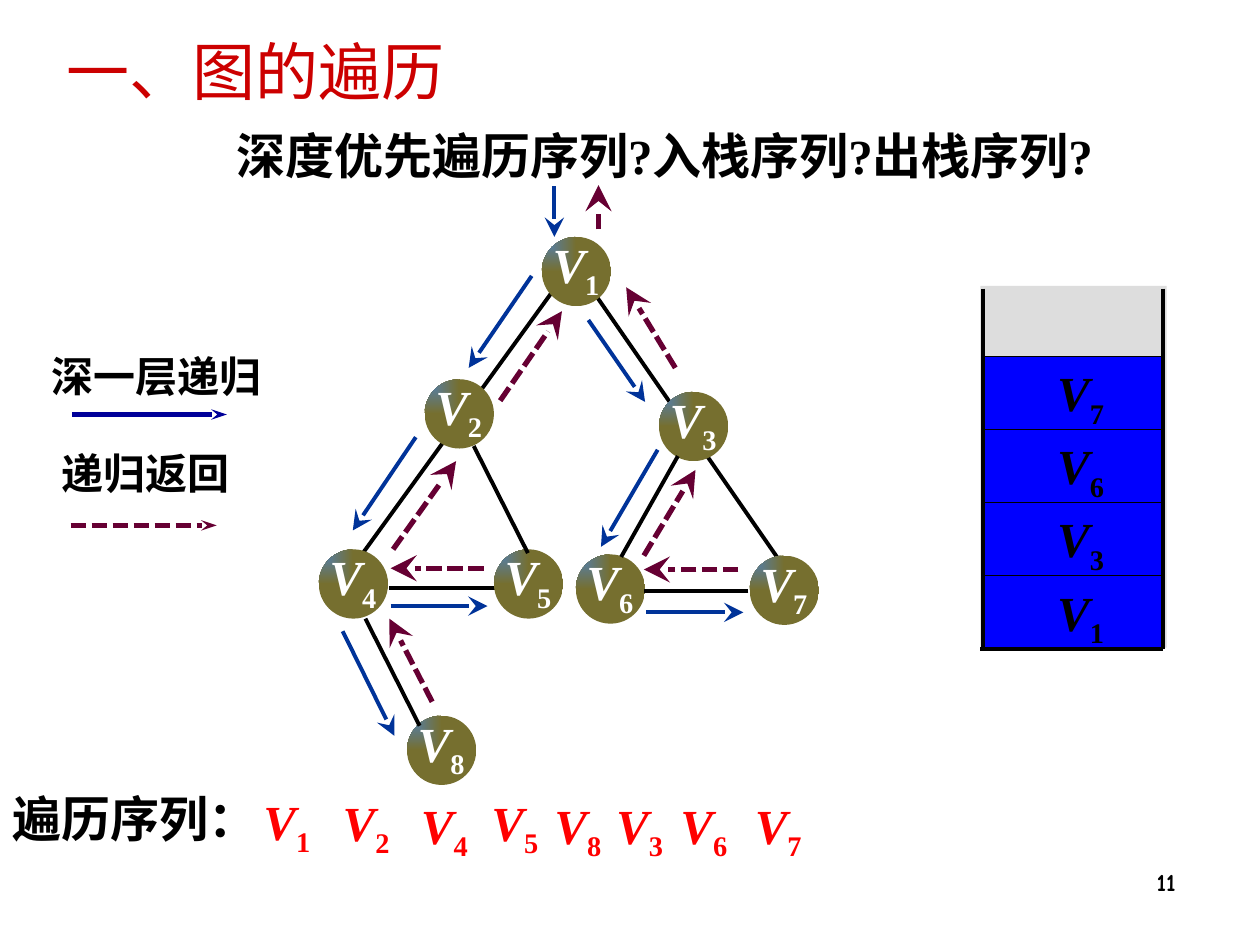
from lxml import etree
from pptx import Presentation
from pptx import util as u
from pptx.dml.color import RGBColor
from pptx.enum import dml, shapes, text
from pptx.oxml import ns

COLS, ROWS = 100, 75
CELL = u.Inches(0.1)

BLACK = RGBColor(0x00, 0x00, 0x00)
WHITE = RGBColor(0xFF, 0xFF, 0xFF)
RED = RGBColor(0xFF, 0x00, 0x00)
TITLE_RED = RGBColor(0xCC, 0x00, 0x00)
CALL_BLUE = RGBColor(0x00, 0x33, 0x99)
LEGEND_BLUE = RGBColor(0x00, 0x00, 0x99)
RETURN_PURPLE = RGBColor(0x66, 0x00, 0x33)
STACK_BLUE = RGBColor(0x00, 0x00, 0xFF)
STACK_GREY = RGBColor(0xDD, 0xDD, 0xDD)
NODE_BLUE = RGBColor(0x4F, 0x81, 0xBD)
NODE_OLIVE = RGBColor(0x76, 0x6F, 0x2F)

SERIF = "Times New Roman"
LABEL_INSETS = (0.2, 0.1, 0.2, 0.1)
JUSTIFY = text.PP_ALIGN.JUSTIFY

NODE_SIZE = 5.5
NODES = {1: (43, 18.8), 3: (52.3, 31.1), 2: (33.7, 30.1), 4: (25.3, 43.6),
         5: (39.2, 43.6), 6: (45.7, 44), 7: (59.5, 44.1), 8: (32.3, 56.8)}

EDGES_BEHIND = [(39.3, 46.7, 30.9, 46.7), (47.4, 23.6, 61.8, 44.4),
                (43.8, 23.2, 28.8, 43.9)]
EDGES_IN_FRONT = [(37.6, 35.4, 41.9, 43.9), (53.8, 36.2, 49.3, 44.2),
                  (59.4, 46.9, 51.1, 46.9), (29, 49.1, 33.3, 57.6)]
CALLS = [(44, 14.8, 44, 18.8), (42.2, 21.9, 37.2, 29.2),
         (33, 34.7, 28, 42.1), (31, 48.1, 38.7, 48.1),
         (27.2, 50.1, 31.3, 58.4), (46.7, 25.4, 51.2, 31.9),
         (52.2, 35.7, 47.7, 43.4), (51.3, 48.6, 59, 48.6)]
RETURNS = [(38.4, 45.1, 31, 45.1), (34.3, 55.7, 30.9, 49.1),
           (31.2, 43.6, 36.2, 36.6), (39.7, 31.8, 44.6, 24.7),
           (58.6, 45.2, 51.1, 45.2), (51.1, 44.1, 55.2, 37.3),
           (53.6, 29.2, 49.7, 22.8), (47.5, 18.2, 47.5, 14.7)]

SEQUENCE = [(1, 20.7, 62.7), (2, 27, 62.8), (4, 33.2, 63), (5, 38.8, 62.8),
            (8, 43.8, 63), (3, 48.7, 63), (6, 53.8, 63), (7, 59.7, 63)]

STACK_LEFT, STACK_RIGHT, STACK_BOTTOM = 78, 92.3, 51.5
STACK_ROW = 5.8
STACK = (1, 3, 6, 7)


def cells(*counts):
    return [int(n * CELL) for n in counts]


def set_insets(tf, insets):
    (tf.margin_left, tf.margin_top,
     tf.margin_right, tf.margin_bottom) = cells(*insets)


def style(p, size, color, font=SERIF, bold=True, align=None):
    p.alignment = align
    p.font.size = u.Pt(size)
    p.font.name = font
    p.font.bold = bold
    p.font.color.rgb = color


def text_frame(s, box, insets=None, wrap=True):
    tf = s.shapes.add_textbox(*cells(*box)).text_frame
    tf.word_wrap = wrap
    if insets:
        set_insets(tf, insets)
    return tf


def add_text(s, box, words, size, color, insets=None, wrap=True, **look):
    p = text_frame(s, box, insets, wrap).paragraphs[0]
    p.add_run().text = words
    style(p, size, color, **look)


def write_vertex(tf, number, color, align=None):
    """Italic V with an upright subscript number."""
    p = tf.paragraphs[0]
    style(p, 28, color, align=align)
    r = p.add_run()
    r.text = "V"
    r.font.italic = True
    r = p.add_run()
    r.text = str(number)
    r.font.italic = False
    r.font._element.set("baseline", "-25000")


def add_line(s, ends, color=BLACK, width=2.25, head=None, dotted=False):
    """Straight line; head is the (width, length) of a stealth arrowhead."""
    c = s.shapes.add_connector(shapes.MSO_CONNECTOR.STRAIGHT, *cells(*ends))
    c.line.color.rgb = color
    c.line.width = u.Pt(width)
    if dotted:
        c.line.dash_style = dml.MSO_LINE.SQUARE_DOT
    if head:
        etree.SubElement(c.line._get_or_add_ln(), ns.qn("a:tailEnd"),
                         type="stealth", w=head[0], len=head[1])
    etree.SubElement(c._element.spPr, ns.qn("a:effectLst"))


def add_shape(s, kind, box):
    sp = s.shapes.add_shape(kind, *cells(*box))
    sp.shadow.inherit = False
    sp.line.fill.background()
    return sp


def add_node(s, number, left, top):
    sp = add_shape(s, shapes.MSO_SHAPE.OVAL, (left, top, NODE_SIZE, NODE_SIZE))
    sp.fill.gradient()
    for stop, color in zip(sp.fill.gradient_stops, (NODE_BLUE, NODE_OLIVE)):
        stop.color.rgb = color
    lin = sp._element.spPr.find(".//" + ns.qn("a:lin"))
    path = etree.Element(ns.qn("a:path"), {"path": "rect"})
    etree.SubElement(path, ns.qn("a:fillToRect"), r="100000", b="100000")
    lin.getparent().replace(lin, path)
    tf = text_frame(s, (left + 0.75, top - 0.5, 5.1, 6.5), (0.1, 0.3, 0, 0.1))
    write_vertex(tf, number, WHITE, JUSTIFY)


def add_stack(s):
    rect = shapes.MSO_SHAPE.RECTANGLE
    sp = add_shape(s, rect, (77.8, 22.7, 14.8, 28.7))
    sp.fill.solid()
    sp.fill.fore_color.rgb = STACK_GREY
    for level, number in enumerate(STACK, 1):
        top = STACK_BOTTOM - level * STACK_ROW
        sp = add_shape(s, rect, (STACK_LEFT, top,
                                 STACK_RIGHT - STACK_LEFT, STACK_ROW))
        sp.fill.solid()
        sp.fill.fore_color.rgb = STACK_BLUE
        sp.line.color.rgb = BLACK
        sp.line.width = u.Pt(0.75)
        tf = sp.text_frame
        tf.vertical_anchor = text.MSO_ANCHOR.TOP
        set_insets(tf, (5.9, 0.5, 1, 0.5))
        write_vertex(tf, number, BLACK, text.PP_ALIGN.LEFT)
    for x in (STACK_LEFT, STACK_RIGHT):
        add_line(s, (x, 22.9, x, STACK_BOTTOM))
    add_line(s, (77.8, STACK_BOTTOM, STACK_RIGHT, STACK_BOTTOM))


def add_graph(s):
    for ends in EDGES_BEHIND:
        add_line(s, ends)
    for number, corner in NODES.items():
        add_node(s, number, *corner)
    for ends in EDGES_IN_FRONT:
        add_line(s, ends)
    for ends in CALLS:
        add_line(s, ends, CALL_BLUE, head=("lg", "lg"))
    for ends in RETURNS:
        add_line(s, ends, RETURN_PURPLE, 3, ("lg", "lg"), dotted=True)


def add_legend(s):
    head = ("sm", "med")
    add_line(s, (5.7, 32.9, 18, 32.9), LEGEND_BLUE, 3, head)
    add_line(s, (5.6, 41.7, 17.2, 41.7), RETURN_PURPLE, 3, head, dotted=True)
    add_text(s, (3.9, 27.7, 17.5, 5.4), "深一层递归", 24, BLACK,
             LABEL_INSETS, align=JUSTIFY)
    add_text(s, (4.7, 35.4, 16.7, 5.3), "递归返回", 24, BLACK,
             LABEL_INSETS, align=JUSTIFY)


def add_sequence(s):
    add_text(s, (0, 62.1, 23.8, 5.7), "遍历序列：", 28, BLACK, font="Arial")
    for number, left, top in SEQUENCE:
        tf = text_frame(s, (left, top, 6.2, 4.9), LABEL_INSETS)
        write_vertex(tf, number, RED)


def main():
    prs = Presentation()
    prs.slide_width, prs.slide_height = cells(COLS, ROWS)
    s = prs.slides.add_slide(prs.slide_layouts[6])
    add_text(s, (73.5, 68.3, 20.8, 5), "11", 14, BLACK,
             font="Comic Neue", align=text.PP_ALIGN.RIGHT)
    add_legend(s)
    add_text(s, (17.8, 9.5, 72.5, 5.7), "深度优先遍历序列?入栈序列?出栈序列?",
             28, BLACK, align=JUSTIFY)
    add_graph(s)
    add_stack(s)
    add_sequence(s)
    add_text(s, (4.3, 2.1, 32, 7), "一、图的遍历", 36, TITLE_RED, wrap=False,
             font="Noto Sans CJK SC", bold=False)
    prs.save("out.pptx")


if __name__ == "__main__":
    main()
